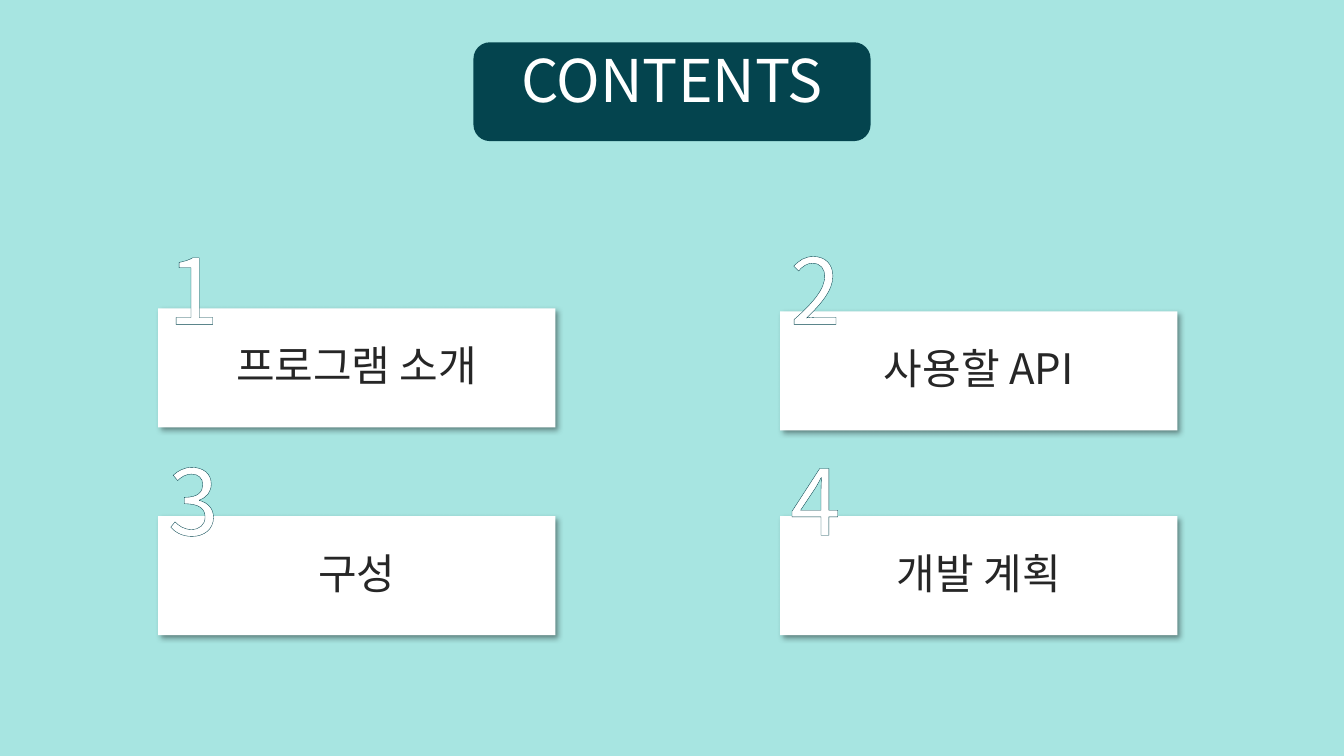
from lxml import etree
from pptx import Presentation
from pptx.dml.color import RGBColor
from pptx.enum import shapes, text
from pptx.oxml import parse_xml
from pptx.oxml.ns import qn
from pptx.util import Pt

FONT = "Noto Sans CJK KR"
COLORS = {"mint": "A7E5E1", "teal": "04444E", "white": "FFFFFF",
          "ink": "262626", "shadow": "000000"}
NS = 'xmlns:a="http://schemas.openxmlformats.org/drawingml/2006/main"'
SHADOW = f"""<a:effectLst {NS}>
  <a:outerShdw blurRad="{Pt(4)}" dist="{Pt(3)}" dir="2700000" algn="tl" rotWithShape="0">
    <a:srgbClr val="{COLORS['shadow']}"><a:alpha val="40000"/></a:srgbClr>
  </a:outerShdw></a:effectLst>"""
OUTLINE = f"""<a:ln {NS} w="{Pt(3.5)}"><a:solidFill>
  <a:srgbClr val="{COLORS['teal']}"/></a:solidFill></a:ln>"""


def write(sp, words, size, color, anchor):
    """Put one centred line into a shape and return its run."""
    tf = sp.text_frame
    tf.word_wrap = True
    tf.vertical_anchor = anchor
    p = tf.paragraphs[0]
    p.alignment = text.PP_ALIGN.CENTER
    p.line_spacing = 0.9
    r = p.add_run()
    r.text = words
    for font in (p.font, r.font):
        font.size = Pt(size)
        font.color.rgb = RGBColor.from_string(COLORS[color])
        font.name = FONT
        latin = font._element.find(qn("a:latin"))
        ea = etree.Element(qn("a:ea"), typeface=FONT)
        latin.addnext(ea)
    return r


def add_box(kind, left, top, width, height, color):
    sp = s.shapes.add_shape(kind, Pt(left), Pt(top), Pt(width), Pt(height))
    sp.shadow.inherit = False
    sp.fill.solid()
    sp.fill.fore_color.rgb = RGBColor.from_string(COLORS[color])
    sp.line.fill.background()
    return sp


prs = Presentation()
prs.slide_width, prs.slide_height = Pt(960), Pt(540)
s = prs.slides.add_slide(prs.slide_layouts[6])
s.background.fill.solid()
s.background.fill.fore_color.rgb = RGBColor.from_string(COLORS["mint"])

title = add_box(shapes.MSO_SHAPE.ROUNDED_RECTANGLE, 338.2, 30.2, 283.7, 70.6, "teal")
write(title, "CONTENTS", 42, "white", text.MSO_ANCHOR.TOP)

COLUMNS = (113, 557.3)
NUMBER_TOPS = (172, 322.6)
topics = [("프로그램 소개", 220.3), ("사용할 API", 222.5),
          ("구성", 368.6), ("개발 계획", 368.6)]

for i, (topic, top) in enumerate(topics):
    left = COLUMNS[i % 2]
    card = add_box(shapes.MSO_SHAPE.RECTANGLE, left, top, 283.7, 85, "white")
    card._element.spPr.remove(card._element.spPr.find(qn("a:effectLst")))
    card._element.spPr.append(parse_xml(SHADOW))
    write(card, topic, 30, "ink", text.MSO_ANCHOR.MIDDLE)

    number = s.shapes.add_textbox(Pt(left), Pt(NUMBER_TOPS[i // 2]), Pt(49), Pt(85.7))
    r = write(number, str(i + 1), 65, "white", text.MSO_ANCHOR.TOP)
    number.text_frame.auto_size = text.MSO_AUTO_SIZE.SHAPE_TO_FIT_TEXT
    r.font._element.insert(0, parse_xml(OUTLINE))

prs.save("out.pptx")
